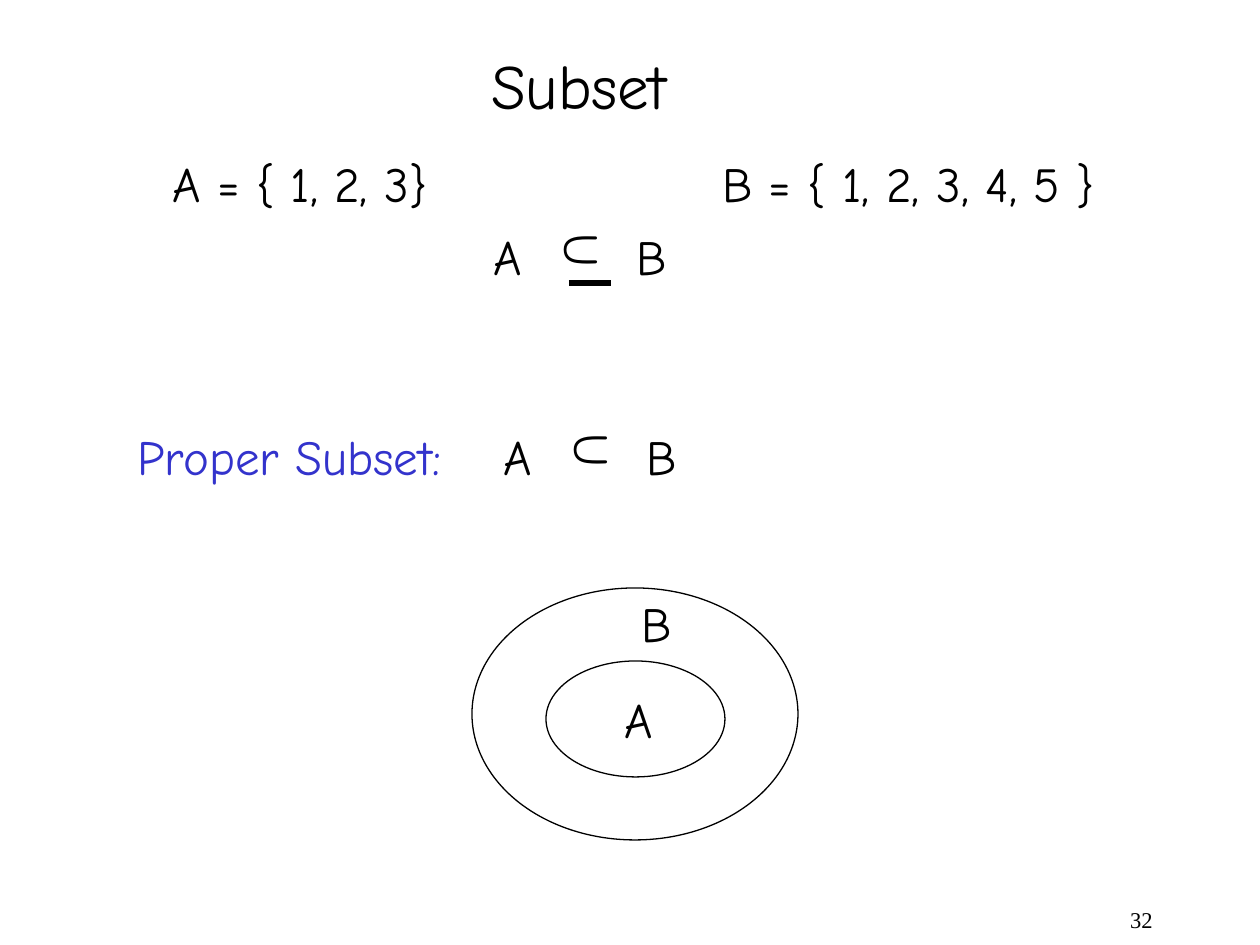
from lxml import etree
from pptx import Presentation
from pptx import util as u
from pptx.dml.color import RGBColor
from pptx.enum import shapes, text
from pptx.oxml import ns

BLACK = RGBColor(0x00, 0x00, 0x00)
BLUE = RGBColor(0x33, 0x33, 0xCC)
EMU_PER_PX = 914400 / 126


def px(length):
    return u.Emu(round(length * EMU_PER_PX))


class SlideBuilder:
    frame_format = {
        "word_wrap": True,
        "auto_size": text.MSO_AUTO_SIZE.NONE,
        "vertical_anchor": text.MSO_ANCHOR.TOP,
        "margin_left": u.Inches(0.1),
        "margin_right": u.Inches(0.1),
        "margin_top": u.Inches(0.05),
        "margin_bottom": u.Inches(0.05),
    }
    font_format = {"name": "Comic Neue", "size": u.Pt(28)}

    def __init__(self, presentation):
        self.slide = presentation.slides.add_slide(presentation.slide_layouts[5])

    def apply(self, target, values):
        for name, value in values.items():
            setattr(target, name, value)

    def set_text(self, shape, words, color=BLACK, tab=None, frame=None, paragraph=None, font=None):
        self.apply(shape.text_frame, {**self.frame_format, **(frame or {})})
        line = shape.text_frame.paragraphs[0]
        self.apply(line, paragraph or {})
        if tab:
            tabs = etree.SubElement(line._p.get_or_add_pPr(), ns.qn("a:tabLst"))
            etree.SubElement(tabs, ns.qn("a:tab"), pos=str(px(tab)), algn="l")
        run = line.add_run()
        run.text = words
        self.apply(run.font, {**self.font_format, **(font or {})})
        run.font.color.rgb = color

    def title(self, box, words):
        shape = self.slide.shapes.title
        self.apply(shape, dict(zip(("left", "top", "width", "height"), map(px, box))))
        self.set_text(
            shape, words,
            frame={"vertical_anchor": text.MSO_ANCHOR.MIDDLE},
            paragraph={"alignment": text.PP_ALIGN.CENTER},
            font={"size": u.Pt(36)},
        )

    def label(self, box, words, parent=None, rotation=0, **style):
        shape = (parent or self.slide).shapes.add_textbox(*map(px, box))
        shape.rotation = rotation
        self.set_text(shape, words, **style)

    def ellipse(self, box):
        shape = self.slide.shapes.add_shape(shapes.MSO_SHAPE.OVAL, *map(px, box))
        shape.shadow.inherit = False
        shape.fill.background()
        shape.line.color.rgb = BLACK
        shape.line.width = u.Pt(0.75)

    def rule(self, start, end, parent):
        line = parent.shapes.add_connector(shapes.MSO_CONNECTOR.STRAIGHT, *map(px, start + end))
        line.line.color.rgb = BLACK
        line.line.width = u.Pt(3)
        etree.SubElement(line._element.spPr, ns.qn("a:effectLst"))

    def relation(self, left, top, or_equal=False):
        group = self.slide.shapes.add_group_shape()
        self.label((left, top, 204, 72), "A\tB", group, tab=143)
        self.label((left + 73, top - 5, 59, 72), "U", group, rotation=90)
        if or_equal:
            self.rule((left + 88, top + 63), (left + 130, top + 63), group)


def main():
    presentation = Presentation()
    presentation.slide_width = px(1260)
    presentation.slide_height = px(945)
    builder = SlideBuilder(presentation)

    builder.label(
        (903, 903, 262, 42), "32",
        paragraph={"alignment": text.PP_ALIGN.RIGHT, "line_spacing": 0.9},
        font={"name": "Times New Roman", "size": u.Pt(12.9)},
    )
    builder.title((478, 40, 202, 88), "Subset")
    builder.label((160, 147, 960, 72), "A = { 1, 2, 3}\tB = { 1, 2, 3, 4, 5 }", tab=550)
    builder.relation(481, 220, or_equal=True)
    builder.label((125, 420, 340, 72), "Proper Subset:", color=BLUE)
    builder.relation(491, 420)
    builder.ellipse((546, 661, 179, 116))
    builder.ellipse((472, 588, 326, 252))
    builder.label((612, 683, 53, 72), "A")
    builder.label((629, 587, 55, 72), "B")

    presentation.save("out.pptx")


if __name__ == "__main__":
    main()
